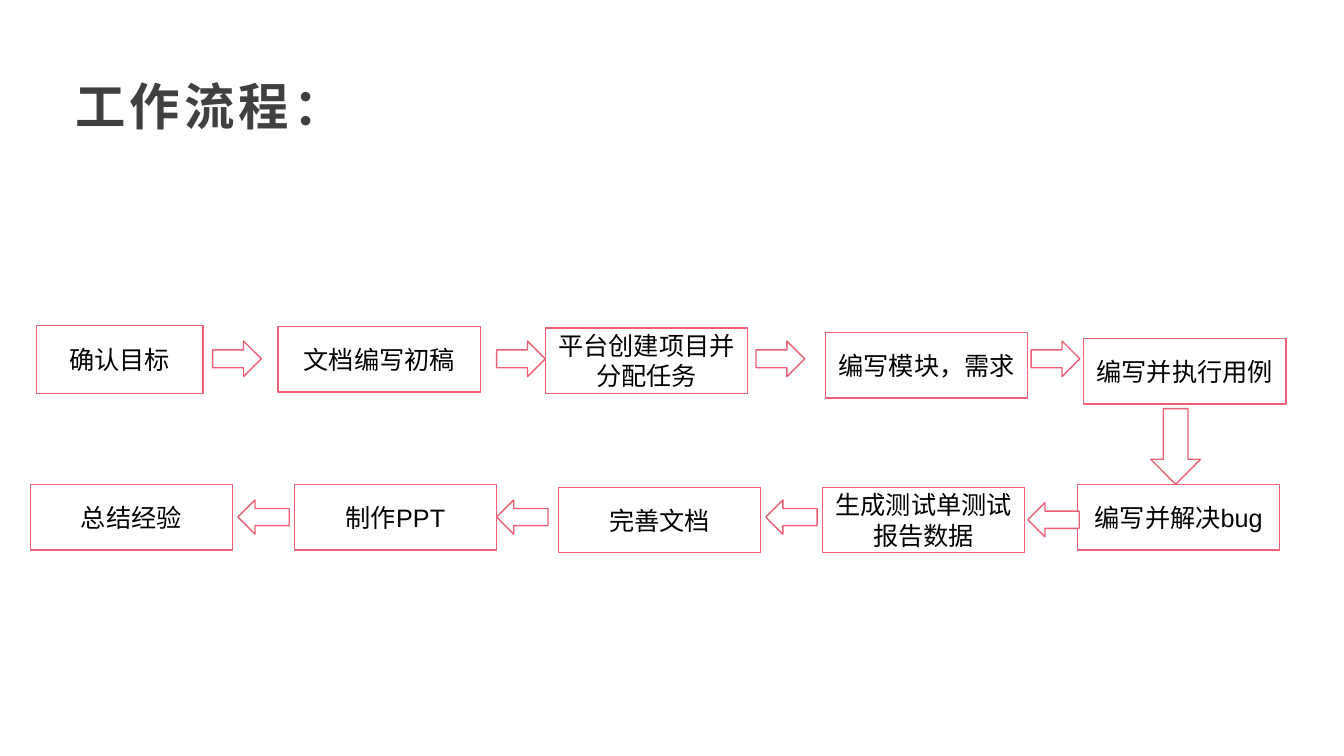
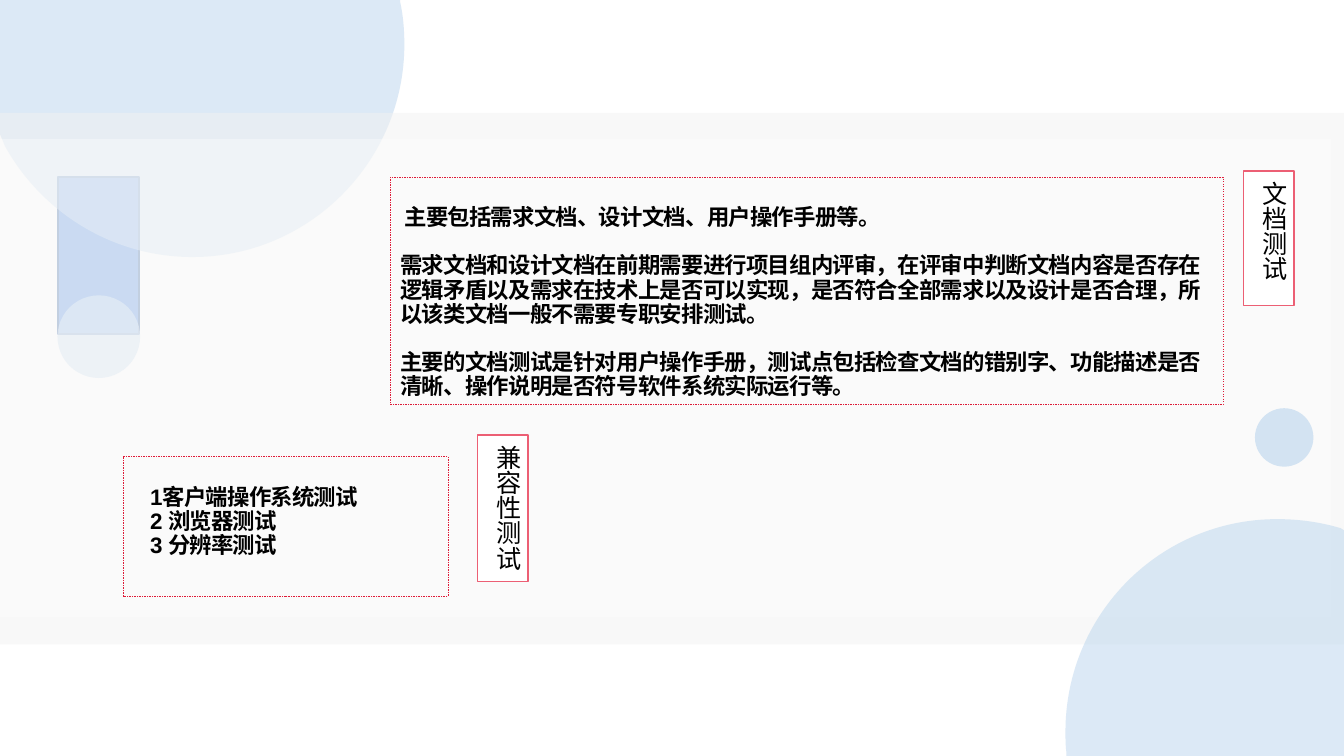
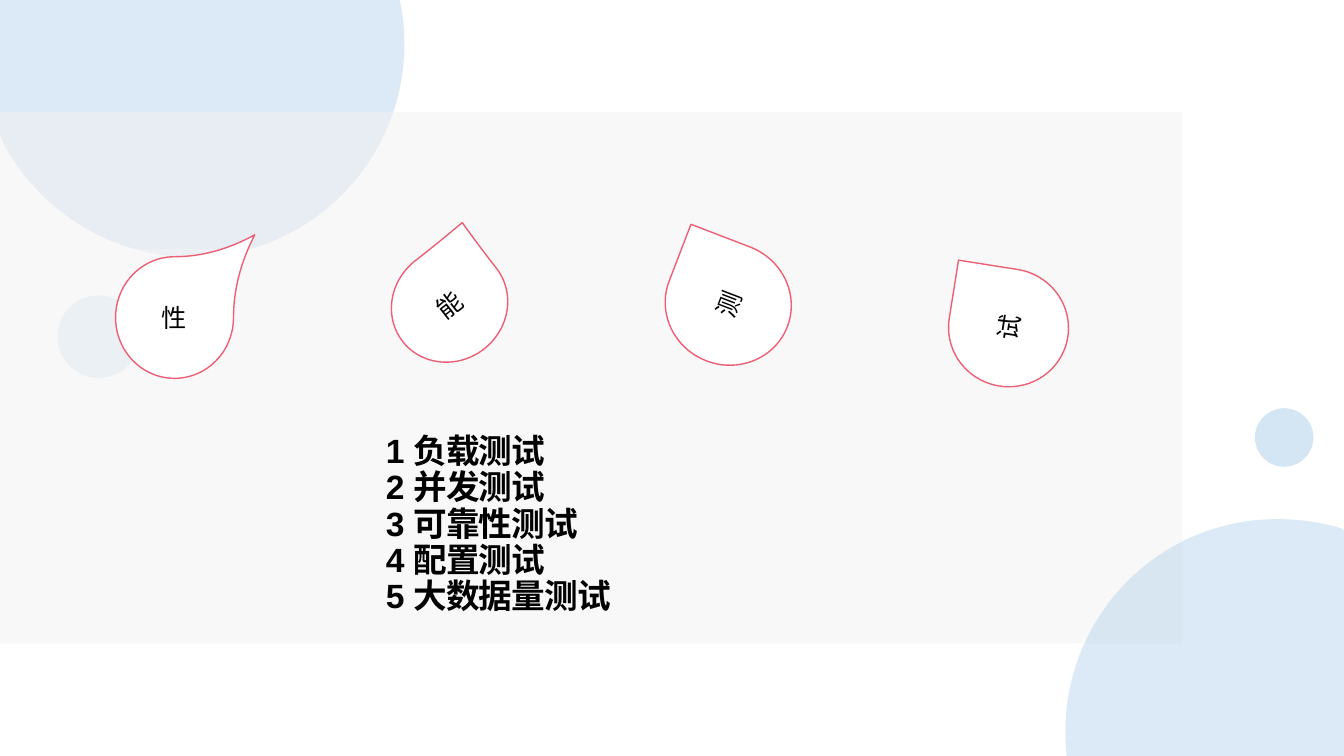
from lxml.etree import SubElement
from pptx import Presentation
from pptx.dml.color import RGBColor
from pptx.enum.dml import MSO_LINE as Dash
from pptx.enum.shapes import MSO_SHAPE as Kind
from pptx.enum.text import MSO_ANCHOR as Anchor, MSO_AUTO_SIZE as Fit, PP_ALIGN as Align
from pptx.oxml.ns import qn
from pptx.util import Inches, Pt

# The slide is a grid of square cells, six to the inch.
COLS, ROWS = 80, 45
FONT = "Arial"
INK, GREY, WHITE = "000000", "404040", "FFFFFF"
ROSE, RED, SKY, MIST = "EC5F74", "DE1A37", "BDD7EE", "F2F2F2"
BLUE, NAVY = "6096E6", "476FAA"

# Outlines in cells: a step of one point is a line, of three a curve.
TOP_MOON = (
    ((0, 0),),
    ((23.82, 0),),
    ((23.82, 0.12),),
    ((24, 0.9), (24.07, 1.8), (24.07, 2.64)),
    ((24.07, 9.6), (18.42, 15.3), (11.46, 15.3)),
    ((6.66, 15.3), (2.46, 12.6), (0.3, 8.7)),
    ((0, 7.98),),
)
LOW_MOON = (
    ((76.02, 30.9),),
    ((77.34, 30.9), (78.6, 31.08), (79.8, 31.44)),
    ((COLS, 31.56),),
    ((COLS, ROWS),),
    ((63.48, ROWS),),
    ((63.48, 44.82),),
    ((63.42, 44.4), (63.42, 43.98), (63.42, 43.56)),
    ((63.42, 36.54), (69.06, 30.9), (76.02, 30.9)),
)


def cell(num):
    """Turn grid cells into a length."""
    return Inches(num / 6)


def tint(text):
    """Turn a hex string into a colour."""
    return RGBColor.from_string(text)


def paint(shape, fill=None, alpha=None, line=None, width=1, dash=None):
    """Set fill, opacity in percent and outline of a shape."""
    shape.shadow.inherit = False
    if fill:
        shape.fill.solid()
        shape.fill.fore_color.rgb = tint(fill)
        if alpha:
            clr = shape.element.spPr.find(qn("a:solidFill"))[0]
            SubElement(clr, qn("a:alpha")).set("val", str(alpha * 1000))
    else:
        shape.fill.background()
    if line:
        shape.line.color.rgb = tint(line)
        shape.line.width = Pt(width)
        if dash:
            shape.line.dash_style = dash
    else:
        shape.line.fill.background()
    return shape


def draw(slide, kind, box, turn=0, **look):
    """Add a preset shape; box is left, top, width, height in cells."""
    shape = slide.shapes.add_shape(kind, *map(cell, box))
    shape.rotation = turn
    return paint(shape, **look)


def write(shape, *lines, size=18, color=INK, bold=False, align=Align.LEFT,
          anchor=Anchor.MIDDLE, lead=None, gap=0, after=0, track=0,
          inset=(0.1, 0.05, 0.1, 0.05), dent=0):
    """Fill a shape with one paragraph per line; gap parts them, in points."""
    frame = shape.text_frame
    frame.word_wrap = True
    frame.vertical_anchor = anchor
    (frame.margin_left, frame.margin_top,
     frame.margin_right, frame.margin_bottom) = map(Inches, inset)
    for num, line in enumerate(lines):
        para = frame.paragraphs[0] if num == 0 else frame.add_paragraph()
        para.alignment = align
        para.line_spacing = lead
        para.space_before = Pt(gap if num else 0)
        para.space_after = Pt(after)
        if dent and num == 0:
            para._p.get_or_add_pPr().set("indent", str(Inches(dent)))
        run = para.add_run()
        run.text = line
        font = run.font
        font.name, font.size, font.bold = FONT, Pt(size), bold
        font.color.rgb = tint(color)
        if track:
            run._r.get_or_add_rPr().set("spc", str(int(track * 100)))
    return shape


def disc(slide, x, y, size):
    """Add a small round dot."""
    draw(slide, Kind.OVAL, (x, y, size, size), fill=SKY, alpha=64)


def moon(slide, steps):
    """Add a large circle cut off at the slide's edges."""
    dots = [(cell(x), cell(y)) for step in steps for x, y in step]
    pen = slide.shapes.build_freeform(*dots[0], scale=1)
    pen.add_line_segments(dots[1:], close=True)
    shape = paint(pen.convert_to_shape(), fill=SKY, alpha=53)
    lines = iter(list(shape.element.iter(qn("a:lnTo"))))
    for step in steps[1:]:
        first, *rest = [next(lines) for _ in step]
        if rest:
            first.tag = qn("a:cubicBezTo")
            for line in rest:
                first.append(line[0])
                line.getparent().remove(line)


def scene(slide, *bands):
    """Add the circles and, between them, the see-through bands."""
    disc(slide, 3.42, 17.58, 4.92)
    moon(slide, TOP_MOON)
    for box, fill, alpha in bands:
        draw(slide, Kind.RECTANGLE, box, fill=fill, alpha=alpha)
    moon(slide, LOW_MOON)
    disc(slide, 74.7, 24.3, 3.48)


def label(slide, kind, box, text, turn=0):
    """Add a white, rose-edged shape with centred text."""
    shape = draw(slide, kind, box, turn, fill=WHITE, line=ROSE)
    return write(shape, text, align=Align.CENTER)


def arrow(slide, kind, *box):
    """Add a white block arrow."""
    draw(slide, kind, box, fill=WHITE, line=ROSE)


def tag(slide, box, text):
    """Add a label with upright text that runs downward."""
    shape = draw(slide, Kind.RECTANGLE, box, fill=WHITE, line=ROSE)
    write(shape, text, anchor=Anchor.TOP)
    shape.text_frame.auto_size = Fit.SHAPE_TO_FIT_TEXT
    shape.text_frame._txBody.bodyPr.set("vert", "eaVert")


def note(slide, box, *lines, **form):
    """Add a dashed box with bold text."""
    shape = draw(slide, Kind.RECTANGLE, box, line=RED, width=0.25, dash=Dash.DASH)
    write(shape, *lines, size=16, bold=True, lead=0.9, track=-0.5, **form)


def flow(slide):
    """Build the workflow slide."""
    title = slide.shapes.add_textbox(*map(cell, (4, 2.64, 72, 8.16)))
    write(title, "工作流程：", size=36, color=GREY, bold=True, lead=0.9,
          after=8, track=3, inset=(0.08, 0.04, 0.08, 0.12))
    label(slide, Kind.RECTANGLE, (2.16, 19.38, 9.93, 4.04), "确认目标")
    for x, y, text in (
        (16.56, 19.44, "文档编写初稿"),
        (32.46, 19.52, "平台创建项目并分配任务"),
        (49.14, 19.8, "编写模块，需求"),
        (64.5, 20.16, "编写并执行用例"),
        (64.14, 28.84, "编写并解决bug"),
        (48.96, 29, "生成测试单测试报告数据"),
        (33.24, 29, "完善文档"),
        (17.52, 28.84, "制作PPT"),
        (1.8, 28.84, "总结经验"),
    ):
        label(slide, Kind.RECTANGLE, (x, y, 12.04, 3.9), text)
    for x in (12.66, 29.56, 45, 61.38):
        arrow(slide, Kind.RIGHT_ARROW, x, 20.3, 2.9, 2.12)
    arrow(slide, Kind.DOWN_ARROW, 68.5, 24.32, 2.96, 4.5)
    for x, y in ((61.18, 29.92), (45.58, 29.76), (29.56, 29.76), (14.16, 29.76)):
        arrow(slide, Kind.LEFT_ARROW, x, y, 3.06, 2.04)


def papers(slide):
    """Build the slide on document and compatibility tests."""
    draw(slide, Kind.ACTION_BUTTON_CUSTOM, (3.45, 10.53, 4.83, 9.36),
         fill=BLUE, line=NAVY)
    scene(slide, ((0, 6.72, COLS, 31.64), MIST, 53),
          ((-0.78, 8.28, COLS, 28.44), WHITE, 36))
    note(slide, (7.32, 27.18, 19.36, 8.3),
         "1客户端操作系统测试", "2 浏览器测试", "3 分辨率测试",
         anchor=Anchor.TOP, inset=(0.27, 0.29, 0.1, 0.05))
    note(slide, (23.24, 10.56, 49.58, 13.52),
         "主要包括需求文档、设计文档、用户操作手册等。",
         "需求文档和设计文档在前期需要进行项目组内评审，在评审中判断文档内容是否存在"
         "逻辑矛盾以及需求在技术上是否可以实现，是否符合全部需求以及设计是否合理，"
         "所以该类文档一般不需要专职安排测试。",
         "主要的文档测试是针对用户操作手册，测试点包括检查文档的错别字、功能描述"
         "是否清晰、操作说明是否符号软件系统实际运行等。",
         anchor=Anchor.BOTTOM, gap=17.2, dent=0.04)
    tag(slide, (74.02, 10.18, 3.02, 8), "文档测试")
    tag(slide, (28.42, 25.9, 3.02, 8.7), "兼容性测试")


def speed(slide):
    """Build the slide on performance tests."""
    scene(slide, ((-4.26, 14.82, 77.22, 28.44), WHITE, 36),
          ((-0.48, 6.66, 70.83, 31.64), MIST, 53))
    items = slide.shapes.add_textbox(*map(cell, (22.38, 25.08, 21.18, 11.88)))
    write(items, "1 负载测试", "2 并发测试", "3 可靠性测试", "4 配置测试",
          "5 大数据量测试", size=24, bold=True, lead=0.9, track=-0.5,
          anchor=Anchor.BOTTOM)
    for box, turn, tip, text in (
        ((6.88, 15.28, 7.02, 7.24), 0, 1.36, "性"),
        ((23.22, 14.82, 7.08, 6.66), 322, 1.02, "能"),
        ((39.72, 14.32, 7.26, 7.54), 291, 1, "测"),
        ((56.52, 15.94, 7.02, 7.14), 279, 1, "试"),
    ):
        drop = label(slide, Kind.TEAR, box, text, turn)
        drop.adjustments[0] = tip


def main():
    """Build and save the deck."""
    deck = Presentation()
    deck.slide_width, deck.slide_height = cell(COLS), cell(ROWS)
    for build in (flow, papers, speed):
        build(deck.slides.add_slide(deck.slide_layouts[6]))
    deck.save("out.pptx")


main()
